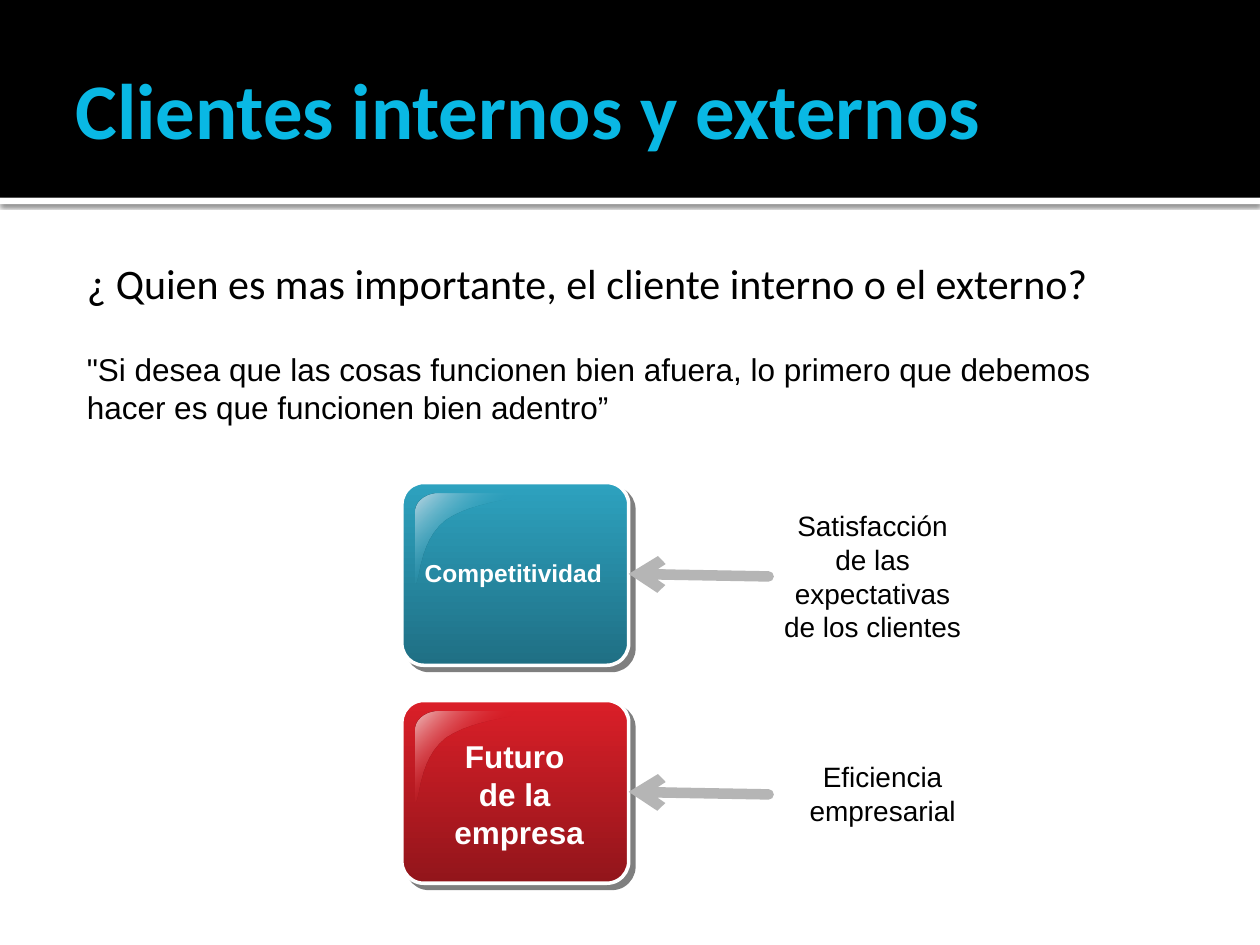
import pptx
import pptx.util
import pptx.dml.color
import pptx.enum.shapes
import pptx.enum.text
import pptx.oxml
import pptx.oxml.ns
from lxml import etree

Inches, Pt = pptx.util.Inches, pptx.util.Pt
RGB = pptx.dml.color.RGBColor.from_string
SHAPE = pptx.enum.shapes.MSO_SHAPE
ALIGN = pptx.enum.text.PP_ALIGN
ANCHOR = pptx.enum.text.MSO_ANCHOR
qn = pptx.oxml.ns.qn

prs = pptx.Presentation()
prs.slide_width, prs.slide_height = Inches(10), Inches(7.5)
s = prs.slides.add_slide(prs.slide_layouts[6])


def add_text(box, lines, size, color, font="Arial", bold=False, align=ALIGN.LEFT,
             insets=(0.1, 0.05, 0.1, 0.05), wrap=True):
    """Add a text box at box, in inches, and return it."""
    sp = s.shapes.add_textbox(*map(Inches, box))
    tf = sp.text_frame
    tf.word_wrap = wrap
    tf.margin_left, tf.margin_top, tf.margin_right, tf.margin_bottom = map(Inches, insets)
    tf.text = "\n".join(lines)
    for p in tf.paragraphs:
        p.alignment = align
        f = p.runs[0].font
        f.name, f.size, f.bold, f.color.rgb = font, Pt(size), bold, RGB(color)
    return sp


def style(sp, colors, angle=270, shadow=None):
    """Fill a shape with one colour or a gradient; shadow is opacity, blur, distance, angle."""
    sp.shadow.inherit = False
    sp.line.fill.background()
    if len(colors) == 1:
        sp.fill.solid()
        sp.fill.fore_color.rgb = RGB(colors[0])
    else:
        sp.fill.gradient()
        sp.fill.gradient_angle = angle
        for stop, color in zip(sp.fill.gradient_stops, colors):
            stop.color.rgb = RGB(color)
    if shadow:
        alpha, blur, dist, turn = shadow
        effects = sp._element.spPr.find(qn("a:effectLst"))
        outer = etree.SubElement(effects, qn("a:outerShdw"), blurRad=str(Pt(blur)),
                                 dist=str(Pt(dist)), dir=str(turn * 60000),
                                 algn="tl", rotWithShape="0")
        black = etree.SubElement(outer, qn("a:srgbClr"), val="000000")
        etree.SubElement(black, qn("a:alpha"), val=str(alpha * 1000))


# Header band and title
rule = s.shapes.add_shape(SHAPE.RECTANGLE, 0, Inches(1.57), prs.slide_width, Inches(0.05))
style(rule, ["FFFFFF"], shadow=(60, 2.5, 0.8, 90))
band = s.shapes.add_shape(SHAPE.RECTANGLE, 0, 0, prs.slide_width, Inches(1.57))
style(band, ["000000"])
title = add_text((0.5, 0.17, 9, 1.37), ["Clientes internos y externos"], 45, "09B8E4",
                 "Calibri", True, insets=(0.1, 0.05, 0.05, 0.05))
title.text_frame.vertical_anchor = ANCHOR.MIDDLE

# Question and quotation
question = add_text((0.5, 1.94, 8.44, 0.78),
                    ["¿ Quien es mas importante, el cliente interno o el externo?"],
                    24, "000000", "Calibri", insets=(0.06, 0.1, 0.1, 0.05))
pPr = question.text_frame.paragraphs[0]._p.get_or_add_pPr()
pPr.set("marL", str(Inches(0.48)))
pPr.set("indent", str(Inches(-0.35)))
add_text((0.59, 2.73, 8.35, 1.01),
         ['"Si desea que las cosas funcionen bien afuera, lo primero que debemos '
          'hacer es que funcionen bien adentro”'], 18, "000000")

# Each row: a glossy button, its label, the cause on the right and an arrow
left, width, height, cause_left = 3.19, 1.8, 1.45, 6.1
gloss_start = (0.29, 0.09)
gloss_curves = [
    [(0.29, 0.09), (0.19, 0.09), (0.11, 0.16), (0.11, 0.23)],
    [(0.11, 0.8), (0.15, 0.81), (0.13, 0.47), (0.35, 0.3)],
    [(0.35, 0.3), (0.58, 0.14), (1.01, 0.13), (1, 0.09)],
]
gloss_points = []
for a, b, c, d in gloss_curves:
    for i in range(13):
        t = i / 12
        weights = ((1 - t) ** 3, 3 * t * (1 - t) ** 2, 3 * t * t * (1 - t), t ** 3)
        gloss_points.append([sum(w * q[k] for w, q in zip(weights, (a, b, c, d)))
                             for k in (0, 1)])

rows = [
    (3.83, ["2DA2BF", "1F6F84"], "C0D8E3", ["Competitividad"], 14, (3.27, 4.38, 1.61, 0.34),
     "Satisfacción de las expectativas de los clientes", (3.99, 1.65, 1.18)),
    (5.56, ["DA1F28", "92151B"], "EEC0C0", ["Futuro ", "de la ", "empresa"], 18,
     (3.5, 5.8, 1.24, 1.01), "Eficiencia empresarial", (5.98, 1.81, 0.64)),
]
for top, colors, shine, label, size, label_box, cause, (cause_top, cause_w, cause_h) in rows:
    button = s.shapes.add_shape(SHAPE.ROUNDED_RECTANGLE, *map(Inches, (left, top, width, height)))
    button.adjustments[0] = 0.12
    style(button, colors, shadow=(50, 0, 4.2, 45))
    button.line.color.rgb = RGB("FFFFFF")
    button.line.width = Pt(2)

    x, y = gloss_start
    fb = s.shapes.build_freeform(Inches(left + x), Inches(top + y))
    fb.add_line_segments([(Inches(left + x), Inches(top + y)) for x, y in gloss_points])
    gloss = fb.convert_to_shape()
    style(gloss, [shine, colors[0]], angle=315)
    gloss.fill.gradient_stops[1].position = 0.5
    clear = list(gloss._element.spPr.iter(qn("a:srgbClr")))[1]
    etree.SubElement(clear, qn("a:alpha"), val="0")

    add_text(label_box, label, size, "FFFFFF", bold=True, align=ALIGN.CENTER, wrap=False)
    add_text((cause_left, cause_top, cause_w, cause_h), [cause], 16, "000000",
             align=ALIGN.CENTER)

    middle = top + height / 2
    arrow = s.shapes.add_connector(pptx.enum.shapes.MSO_CONNECTOR.STRAIGHT, *map(
        Inches, (cause_left, middle + 0.02, left + width, middle)))
    arrow.line.color.rgb = RGB("B5B5B5")
    arrow.line.width = Pt(6)
    ln = arrow.line._get_or_add_ln()
    ln.set("cap", "rnd")
    etree.SubElement(ln, qn("a:tailEnd"), type="arrow")
    etree.SubElement(arrow._element.spPr, qn("a:effectLst"))

prs.save("out.pptx")
